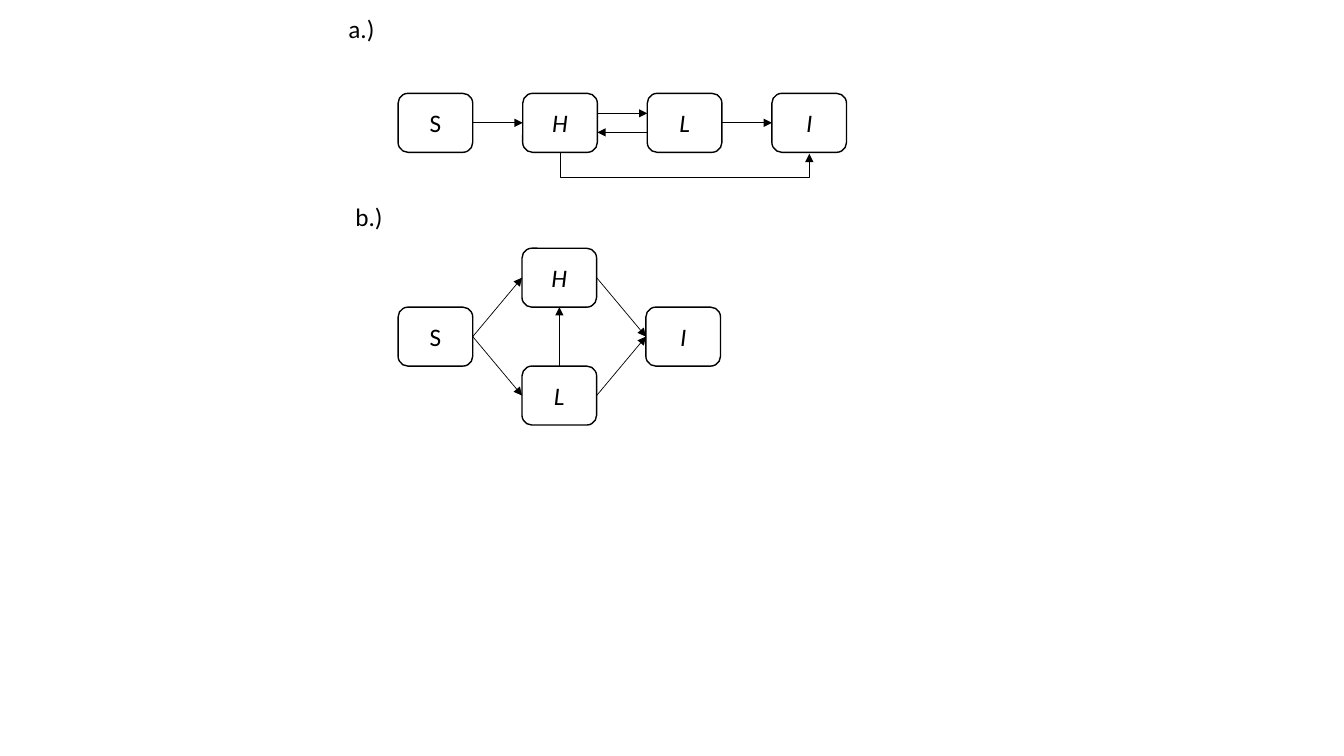
from pptx import Presentation
from pptx.dml.color import RGBColor
from pptx.enum import shapes, text
from pptx.oxml import parse_xml
from pptx.oxml.ns import nsdecls, qn
from pptx.util import Pt

COLOURS = {"ink": "000000", "paper": "FFFFFF"}
FONT = "Calibri"
STATE_W, STATE_H = 53.3, 42.1
LEFT = 284.4

LABELS = [("a.)", 240.5, 7.2, 160.5), ("b.)", 245.5, 141.1, 288)]
MODELS = {
    "a": {
        "top": 66.7, "step": 89,
        "states": {"S": (0, 0), "H": (1, 0), "L": (2, 0), "I": (3, 0)},
        "flows": [("S", "right", "H", "left", 0), ("H", "right", "L", "left", -6.8),
                  ("L", "left", "H", "right", 6.8), ("L", "right", "I", "left", 0)],
    },
    "b": {
        "top": 177.3, "step": 88.5,
        "states": {"S": (0, 1), "H": (1, 0), "L": (1, 2), "I": (2, 1)},
        "flows": [("S", "right", "H", "left", 0), ("S", "right", "L", "left", 0),
                  ("L", "right", "I", "left", 0), ("H", "right", "I", "left", 0),
                  ("L", "top", "H", "bottom", 0)],
    },
}
BYPASS = {"from": "H", "to": "I", "drop": 18, "rise": 1}
SIDES = {"left": (0, 0.5), "right": (1, 0.5), "top": (0.5, 0), "bottom": (0.5, 1)}


def colour(name):
    return RGBColor.from_string(COLOURS[name])


def add_text_box(words, left, top, width, height, align, italic=False):
    box = slide.shapes.add_shape(shapes.MSO_SHAPE.ROUNDED_RECTANGLE,
                                 Pt(left), Pt(top), Pt(width), Pt(height))
    box.shadow.inherit = False
    box.fill.background()
    box.line.fill.background()
    box.text_frame.vertical_anchor = text.MSO_ANCHOR.MIDDLE
    line = box.text_frame.paragraphs[0]
    line.text = words
    line.alignment = align
    line.font.name, line.font.size, line.font.italic = FONT, Pt(18), italic
    line.font.color.rgb = colour("ink")
    return box


def add_state(name, left, top):
    state = add_text_box(name, left, top, STATE_W, STATE_H,
                         text.PP_ALIGN.CENTER, italic=name != "S")
    state.fill.solid()
    state.fill.fore_color.rgb = colour("paper")
    state.line.color.rgb = colour("ink")
    state.line.width = Pt(1)


def add_arrow(kind, start, end):
    arrow = slide.shapes.add_connector(kind, *map(Pt, start + end))
    arrow.line.color.rgb = colour("ink")
    arrow.line.width = Pt(0.5)
    arrow.line._get_or_add_ln().append(
        parse_xml(f'<a:tailEnd {nsdecls("a")} type="triangle"/>'))
    arrow._element.spPr.append(parse_xml(f'<a:effectLst {nsdecls("a")}/>'))
    return arrow


def anchor(corner, side, shift=0):
    across, down = SIDES[side]
    return corner[0] + across * STATE_W, corner[1] + down * STATE_H + shift


def add_bypass(start, end):
    mid_x, mid_y = (start[0] + end[0]) / 2, (start[1] + end[1]) / 2
    half_span, half_rise = (end[0] - start[0]) / 2, BYPASS["rise"] / 2
    bypass = add_arrow(shapes.MSO_CONNECTOR.ELBOW,
                       (mid_x + half_rise, mid_y - half_span),
                       (mid_x - half_rise, mid_y + half_span))
    properties = bypass._element.spPr
    properties.find(qn("a:xfrm")).set("rot", str(270 * 60000))
    bend = round(BYPASS["drop"] / BYPASS["rise"] * 100000)
    properties.find(qn("a:prstGeom")).find(qn("a:avLst")).append(
        parse_xml(f'<a:gd {nsdecls("a")} name="adj1" fmla="val {bend}"/>'))


deck = Presentation()
deck.slide_width, deck.slide_height = Pt(960), Pt(540)
slide = deck.slides.add_slide(deck.slide_layouts[6])

for words, left, top, width in LABELS:
    add_text_box(words, left, top, width, 26.6, text.PP_ALIGN.LEFT)

for key, model in MODELS.items():
    corners = {name: (LEFT + column * model["step"], model["top"] + row * STATE_H)
               for name, (column, row) in model["states"].items()}
    if key == "a":
        add_bypass(anchor(corners[BYPASS["from"]], "bottom"),
                   anchor(corners[BYPASS["to"]], "bottom", BYPASS["rise"]))
    for name, corner in corners.items():
        add_state(name, *corner)
    for source, exit_side, target, entry_side, shift in model["flows"]:
        add_arrow(shapes.MSO_CONNECTOR.STRAIGHT,
                  anchor(corners[source], exit_side, shift),
                  anchor(corners[target], entry_side, shift))

deck.save("out.pptx")
